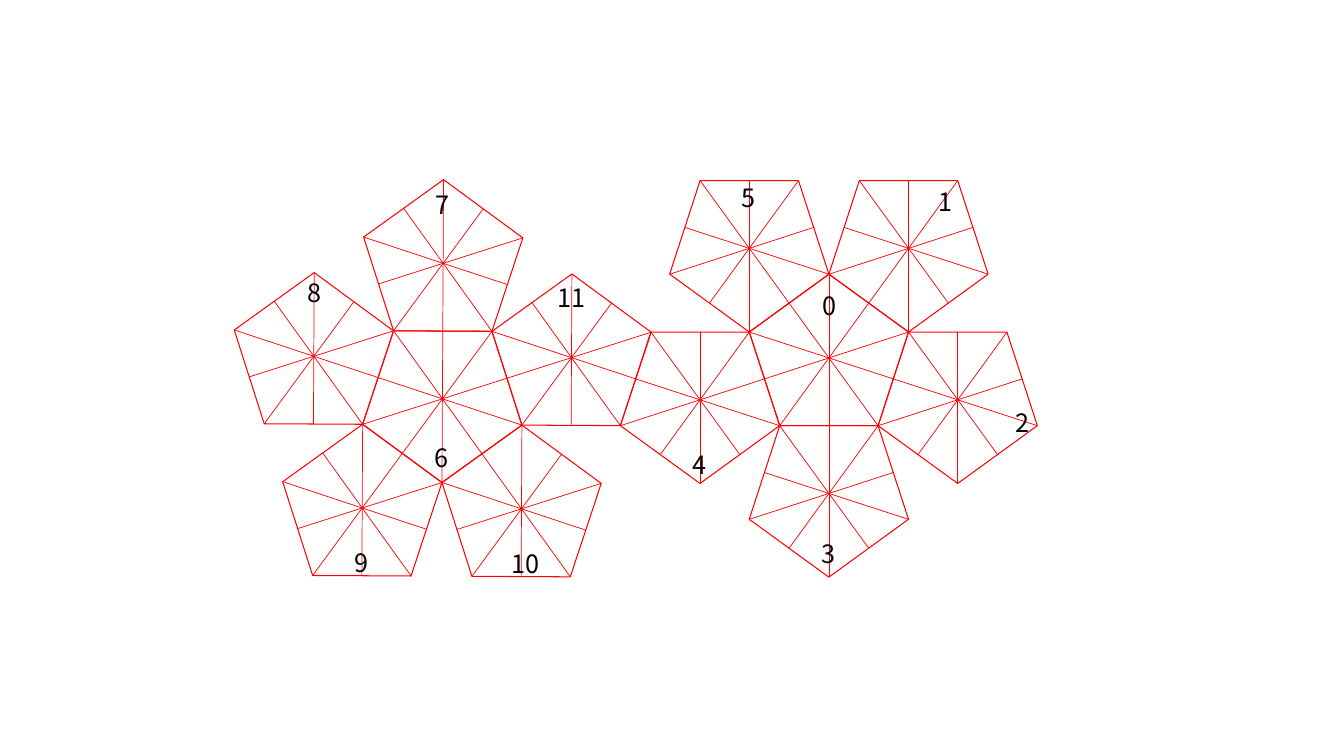
from math import cos, radians, sin

from pptx import Presentation
from pptx.dml.color import RGBColor
from pptx.enum.shapes import MSO_CONNECTOR as CONNECTOR, MSO_SHAPE as SHAPE
from pptx.enum.text import MSO_AUTO_SIZE as AUTO_SIZE
from pptx.oxml.ns import qn
from pptx.util import Cm, Pt
from lxml.etree import SubElement

RED = RGBColor(0xFF, 0x00, 0x00)
BLACK = RGBColor(0x00, 0x00, 0x00)
FONT = "Noto Sans CJK JP"

RADIUS = 2.11
APOTHEM = RADIUS * cos(radians(36))
FACE_WIDTH = 2 * RADIUS * sin(radians(72))
FACE_HEIGHT = RADIUS + APOTHEM


def polar(x, y, distance, angle):
    return x + distance * sin(radians(angle)), y - distance * cos(radians(angle))


def add_face(slide, hub_x, hub_y, turn):
    face = slide.shapes.add_group_shape()
    middle_x, middle_y = polar(hub_x, hub_y, (RADIUS - APOTHEM) / 2, turn)
    outline = face.shapes.add_shape(
        SHAPE.REGULAR_PENTAGON,
        Cm(middle_x - FACE_WIDTH / 2), Cm(middle_y - FACE_HEIGHT / 2),
        Cm(FACE_WIDTH), Cm(FACE_HEIGHT))
    outline.rotation = turn % 360
    outline.shadow.inherit = False
    outline.fill.background()
    outline.line.color.rgb = RED
    outline.line.width = Pt(0.75)
    for corner in range(5):
        angle = turn + 72 * corner
        start_x, start_y = polar(hub_x, hub_y, RADIUS, angle)
        end_x, end_y = polar(hub_x, hub_y, APOTHEM, angle + 180)
        axis = face.shapes.add_connector(
            CONNECTOR.STRAIGHT, Cm(start_x), Cm(start_y), Cm(end_x), Cm(end_y))
        axis.line.color.rgb = RED
        axis.line.width = Pt(0.5)
        SubElement(axis._element.spPr, qn("a:effectLst"))


prs = Presentation()
prs.slide_width = Cm(33.87)
prs.slide_height = Cm(19.05)
slide = prs.slides.add_slide(prs.slide_layouts[6])

flowers = [(11.15, 10.05, 36.3), (20.89, 9.02, 72)]
for center_x, center_y, turn in flowers:
    add_face(slide, center_x, center_y, turn)
    for petal in range(5):
        petal_x, petal_y = polar(center_x, center_y, 2 * APOTHEM, turn + 36 + 72 * petal)
        add_face(slide, petal_x, petal_y, turn + 252)

number_positions = [
    (20.47, 7.19), (23.39, 4.57), (25.35, 10.13), (20.45, 13.44),
    (17.2, 11.2), (18.44, 4.47), (10.69, 11.02), (10.72, 4.65),
    (7.49, 6.86), (8.69, 13.67), (12.65, 13.69), (13.79, 6.99),
]
for number, (left, top) in enumerate(number_positions):
    width = 0.86 if number < 10 else 1.22
    label = slide.shapes.add_textbox(Cm(left), Cm(top), Cm(width), Cm(1.02))
    frame = label.text_frame
    frame.word_wrap = False
    frame.auto_size = AUTO_SIZE.SHAPE_TO_FIT_TEXT
    frame.text = str(number)
    font = frame.paragraphs[0].runs[0].font
    font.name = FONT
    font.size = Pt(18)
    font.color.rgb = BLACK

prs.save("out.pptx")
